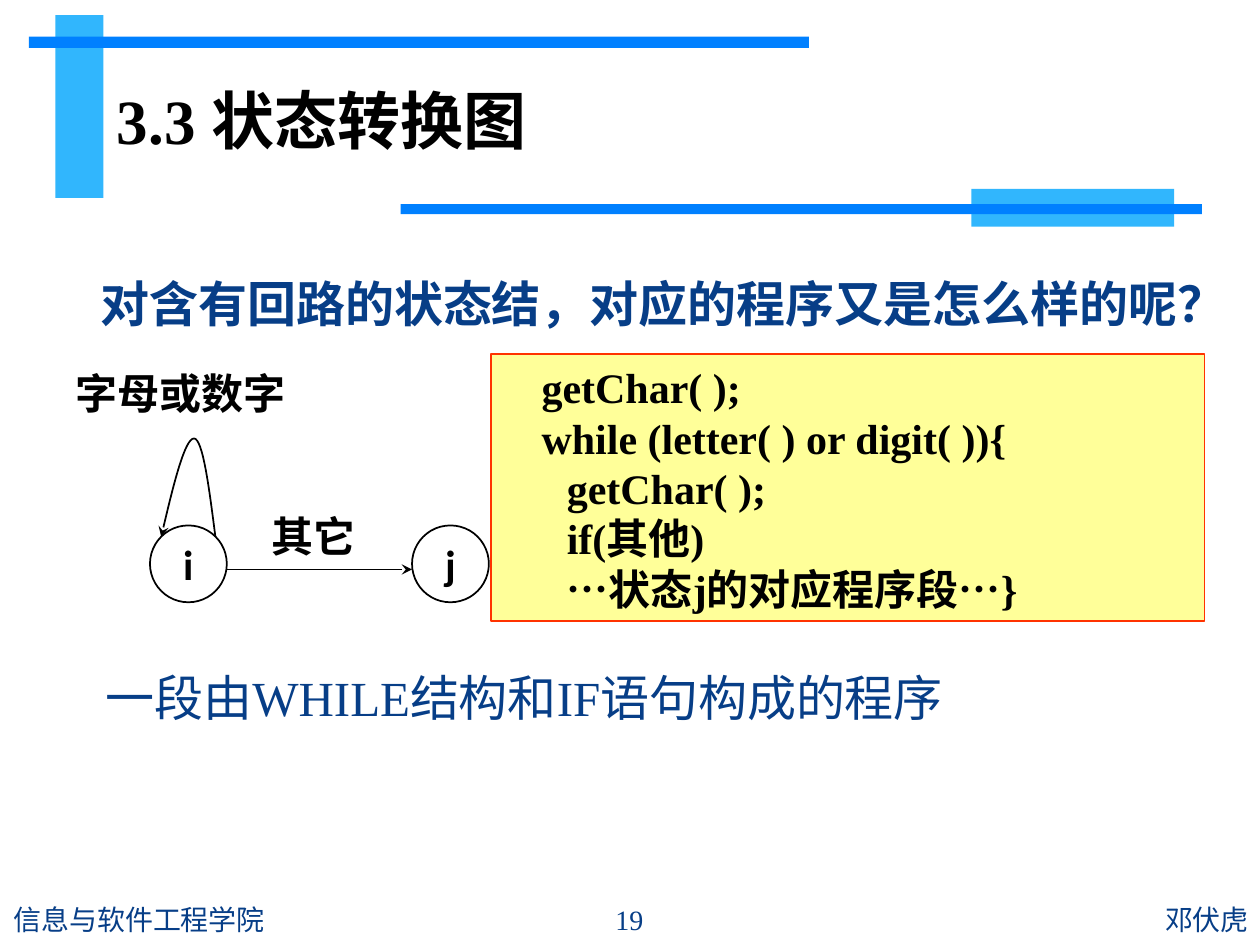
"""Build the slide on state transition diagrams and the program for a looping state."""
import pptx
import pptx.dml.color
import pptx.enum.shapes
import pptx.enum.text
import pptx.oxml
import pptx.oxml.ns
import pptx.util
from lxml import etree

Inches = pptx.util.Inches
RGBColor = pptx.dml.color.RGBColor
ShapeType = pptx.enum.shapes.MSO_SHAPE
Align = pptx.enum.text.PP_ALIGN
Anchor = pptx.enum.text.MSO_ANCHOR
qn = pptx.oxml.ns.qn

THEME = {
    "sky": RGBColor.from_string("31B6FD"),
    "blue": RGBColor.from_string("0080FF"),
    "navy": RGBColor.from_string("073E87"),
    "black": RGBColor.from_string("000000"),
    "yellow": RGBColor.from_string("FFFF99"),
    "red": RGBColor.from_string("FF3300"),
    "title": pptx.util.Pt(36),
    "body": pptx.util.Pt(28),
    "label": pptx.util.Pt(24),
    "footer": pptx.util.Pt(16),
    "line": pptx.util.Pt(1),
    "sans": "Calibri",
    "serif": "Times New Roman",
}


def write_text(shape, lines, size, face, color, bold=False, align=Align.LEFT,
               anchor=Anchor.TOP, wrap=True, indent=0):
    frame = shape.text_frame
    for name, value in {"word_wrap": wrap, "vertical_anchor": anchor}.items():
        setattr(frame, name, value)
    font_format = {"size": THEME[size], "name": THEME[face], "bold": bold}
    for index, line in enumerate(lines):
        paragraph = frame.add_paragraph() if index else frame.paragraphs[0]
        paragraph.alignment = align
        if indent:
            properties = paragraph._p.get_or_add_pPr()
            properties.set("marL", "0")
            properties.set("indent", str(Inches(indent)))
        run = paragraph.add_run()
        run.text = line
        for name, value in font_format.items():
            setattr(run.font, name, value)
        run.font.color.rgb = THEME[color]


def style_shape(shape, fill=None, line=None, arrow=False):
    if hasattr(shape, "shadow"):
        shape.shadow.inherit = False
    else:
        etree.SubElement(shape._element.spPr, qn("a:effectLst"))
    if fill:
        shape.fill.solid()
        shape.fill.fore_color.rgb = THEME[fill]
    elif hasattr(shape, "fill"):
        shape.fill.background()
    if line:
        shape.line.color.rgb = THEME[line]
        shape.line.width = THEME["line"]
    else:
        shape.line.fill.background()
    if arrow:
        etree.SubElement(shape.line._get_or_add_ln(), qn("a:tailEnd"), type="stealth")


presentation = pptx.Presentation()
presentation.slide_width = Inches(10)
presentation.slide_height = Inches(7.5)
slide = presentation.slides.add_slide(presentation.slide_layouts[6])
shapes = slide.shapes

bars = [
    ((0.44, 0.12, 0.38, 1.45), "sky"),
    ((0.23, 0.29, 6.19, 0.09), "blue"),
    ((7.71, 1.5, 1.61, 0.3), "sky"),
    ((3.18, 1.62, 6.36, 0.08), "blue"),
]
for box, color in bars:
    bar = shapes.add_shape(ShapeType.RECTANGLE, *map(Inches, box))
    style_shape(bar, fill=color)

heading = {"size": "title", "face": "serif", "color": "black", "bold": True, "anchor": Anchor.MIDDLE}
question = {"size": "body", "face": "sans", "color": "navy", "bold": True}
answer = {"size": "body", "face": "serif", "color": "navy"}
label = {"size": "label", "face": "sans", "color": "black", "bold": True}
footer = {"size": "footer", "face": "sans", "color": "navy", "anchor": Anchor.MIDDLE}
texts = [
    ((0.7, 2.12, 9.1, 0.63), "对含有回路的状态结，对应的程序又是怎么样的呢？", question),
    ((0.83, 0.44, 7.72, 1.02), "3.3 状态转换图", heading),
    ((0.5, 2.87, 2.17, 0.51), "字母或数字", label),
    ((2.06, 4, 0.87, 0.51), "其它", {**label, "wrap": False}),
    ((0.74, 5.25, 7.81, 1.48), "一段由WHILE结构和IF语句构成的程序", answer),
    ((0.01, 7.1, 4.34, 0.4), "信息与软件工程学院", footer),
    ((4.36, 7.1, 1.27, 0.4), "19", {**footer, "face": "serif", "align": Align.CENTER}),
    ((5.65, 7.1, 4.36, 0.4), "邓伏虎", {**footer, "align": Align.RIGHT}),
]
for box, text, text_format in texts:
    write_text(shapes.add_textbox(*map(Inches, box)), [text], **text_format)

for left, name in [(1.19, "i"), (3.27, "j")]:
    state = shapes.add_shape(ShapeType.OVAL, *map(Inches, (left, 4.17, 0.61, 0.61)))
    style_shape(state, line="black")
    write_text(state, [name], **label, align=Align.CENTER, anchor=Anchor.MIDDLE, wrap=False)

loop_points = [(1.66, 3.87), (1.61, 3.48), (1.54, 3.48), (1.47, 3.48), (1.37, 3.87), (1.28, 4.26)]
builder = shapes.build_freeform(Inches(1.71), Inches(4.26))
builder.add_line_segments([tuple(map(Inches, point)) for point in loop_points], close=False)
loop = builder.convert_to_shape()
segments = loop._element.xpath(".//a:lnTo")
outline = segments[0].getparent()
for start in range(0, len(segments), 3):
    curve = etree.SubElement(outline, qn("a:cubicBezTo"))
    for segment in segments[start:start + 3]:
        curve.append(segment[0])
        outline.remove(segment)
style_shape(loop, line="black", arrow=True)

transition = shapes.add_connector(
    pptx.enum.shapes.MSO_CONNECTOR.STRAIGHT, *map(Inches, (1.8, 4.52, 3.27, 4.52)))
style_shape(transition, line="black", arrow=True)

code_lines = [
    "getChar( );",
    "while (letter( ) or digit( )){",
    "\tgetChar( );",
    "\tif(其他)",
    "\t…状态j的对应程序段…}",
]
code_box = shapes.add_shape(ShapeType.RECTANGLE, *map(Inches, (3.9, 2.81, 5.66, 2.12)))
style_shape(code_box, fill="yellow", line="red")
write_text(code_box, code_lines, **{**label, "face": "serif"}, anchor=Anchor.MIDDLE, indent=0.3)

presentation.save("out.pptx")
